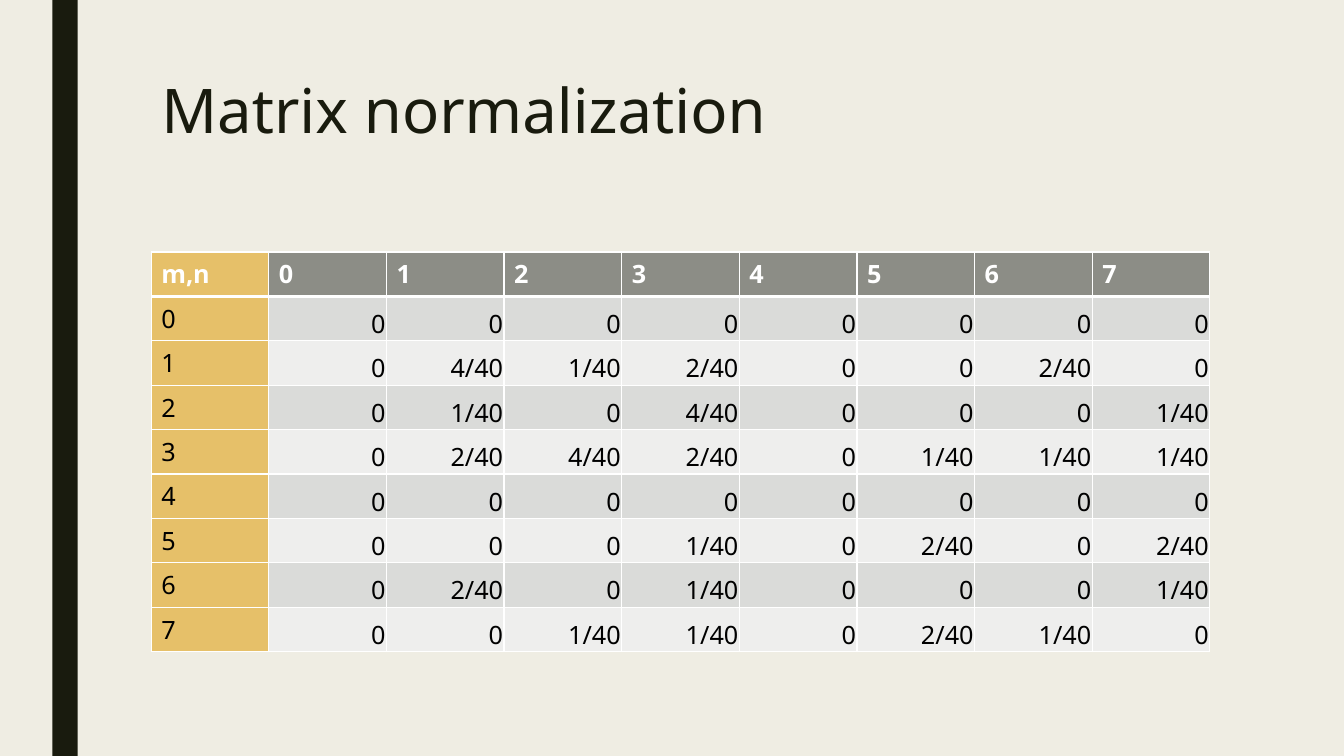
from pptx import Presentation
from pptx.dml.color import RGBColor
from pptx.enum.shapes import MSO_SHAPE
from pptx.enum.text import MSO_ANCHOR, PP_ALIGN
from pptx.oxml.ns import qn
from pptx.util import Inches, Pt
from lxml.etree import SubElement

FONT = "Noto Sans"
CREAM = RGBColor(0xEF, 0xED, 0xE3)
INK = RGBColor(0x19, 0x1B, 0x0E)
GOLD = RGBColor(0xE6, 0xC0, 0x69)
HEADER_GRAY = RGBColor(0x8C, 0x8D, 0x86)
DARK_BAND = RGBColor(0xDA, 0xDB, 0xD9)
LIGHT_BAND = RGBColor(0xEE, 0xEE, 0xED)
WHITE = RGBColor(0xFF, 0xFF, 0xFF)
BLACK = RGBColor(0, 0, 0)

TOTAL = 40
COUNTS = [
    [0, 0, 0, 0, 0, 0, 0, 0],
    [0, 4, 1, 2, 0, 0, 2, 0],
    [0, 1, 0, 4, 0, 0, 0, 1],
    [0, 2, 4, 2, 0, 1, 1, 1],
    [0, 0, 0, 0, 0, 0, 0, 0],
    [0, 0, 0, 1, 0, 2, 0, 2],
    [0, 2, 0, 1, 0, 0, 0, 1],
    [0, 0, 1, 1, 0, 2, 1, 0],
]


def style_font(paragraph, size, color, bold=False):
    font = paragraph.runs[0].font
    font.name, font.size, font.bold = FONT, Pt(size), bold
    font.color.rgb = color


def add_side_bar(slide, left, top, width, height):
    bar = slide.shapes.add_shape(MSO_SHAPE.RECTANGLE, left, top, width, height)
    bar.shadow.inherit = False
    bar.fill.solid()
    bar.fill.fore_color.rgb = INK
    bar.line.fill.background()


def place_title(slide, text, left, top, width, height):
    title = slide.shapes.title
    title.left, title.top, title.width, title.height = left, top, width, height
    frame = title.text_frame
    frame.text = text
    frame.vertical_anchor = MSO_ANCHOR.TOP
    heading = frame.paragraphs[0]
    heading.alignment = PP_ALIGN.LEFT
    heading.line_spacing = 0.89
    style_font(heading, 44, INK)


def set_borders(cell, **widths):
    properties = cell._tc.get_or_add_tcPr()
    for side in "LRTB":
        line = SubElement(properties, qn(f"a:ln{side}"), w=str(Pt(widths.get(side, 1))))
        fill = SubElement(line, qn("a:solidFill"))
        SubElement(fill, qn("a:srgbClr"), val=str(WHITE))


def fill_cell(cell, text, fill, color=BLACK, bold=False):
    cell.text = text
    style_font(cell.text_frame.paragraphs[0], 18, color, bold)
    cell.fill.solid()
    cell.fill.fore_color.rgb = fill


def add_matrix(slide, counts, left, top, width, height):
    size = len(counts) + 1
    matrix = slide.shapes.add_table(size, size, left, top, width, height).table

    # Header row and label column
    for col in range(size):
        header = matrix.cell(0, col)
        set_borders(header, B=3)
        fill_cell(header, str(col - 1) if col else "m,n",
                  HEADER_GRAY if col else GOLD, WHITE, True)

    # Normalized values on alternating bands
    for row, row_counts in enumerate(counts, start=1):
        top_width = 3 if row == 1 else 1
        label = matrix.cell(row, 0)
        set_borders(label, T=top_width)
        fill_cell(label, str(row - 1), GOLD)
        for col, count in enumerate(row_counts, start=1):
            value = matrix.cell(row, col)
            set_borders(value, T=top_width)
            fill_cell(value, f"{count}/{TOTAL}" if count else "0",
                      DARK_BAND if row % 2 else LIGHT_BAND)
            value.vertical_anchor = MSO_ANCHOR.BOTTOM
            value.margin_left = value.margin_right = value.margin_top = Inches(0.01)
            value.margin_bottom = 0
            value.text_frame.paragraphs[0].alignment = PP_ALIGN.RIGHT


deck = Presentation()
deck.slide_width, deck.slide_height = Inches(13.33), Inches(7.5)
slide = deck.slides.add_slide(deck.slide_layouts[5])
slide.background.fill.solid()
slide.background.fill.fore_color.rgb = CREAM

add_side_bar(slide, Inches(0.52), 0, Inches(0.25), deck.slide_height)
place_title(slide, "Matrix normalization",
            Inches(1.5), Inches(0.75), Inches(10.5), Inches(1.62))
add_matrix(slide, COUNTS, Inches(1.5), Inches(2.5), Inches(10.5), Inches(3.65))

deck.save("out.pptx")
